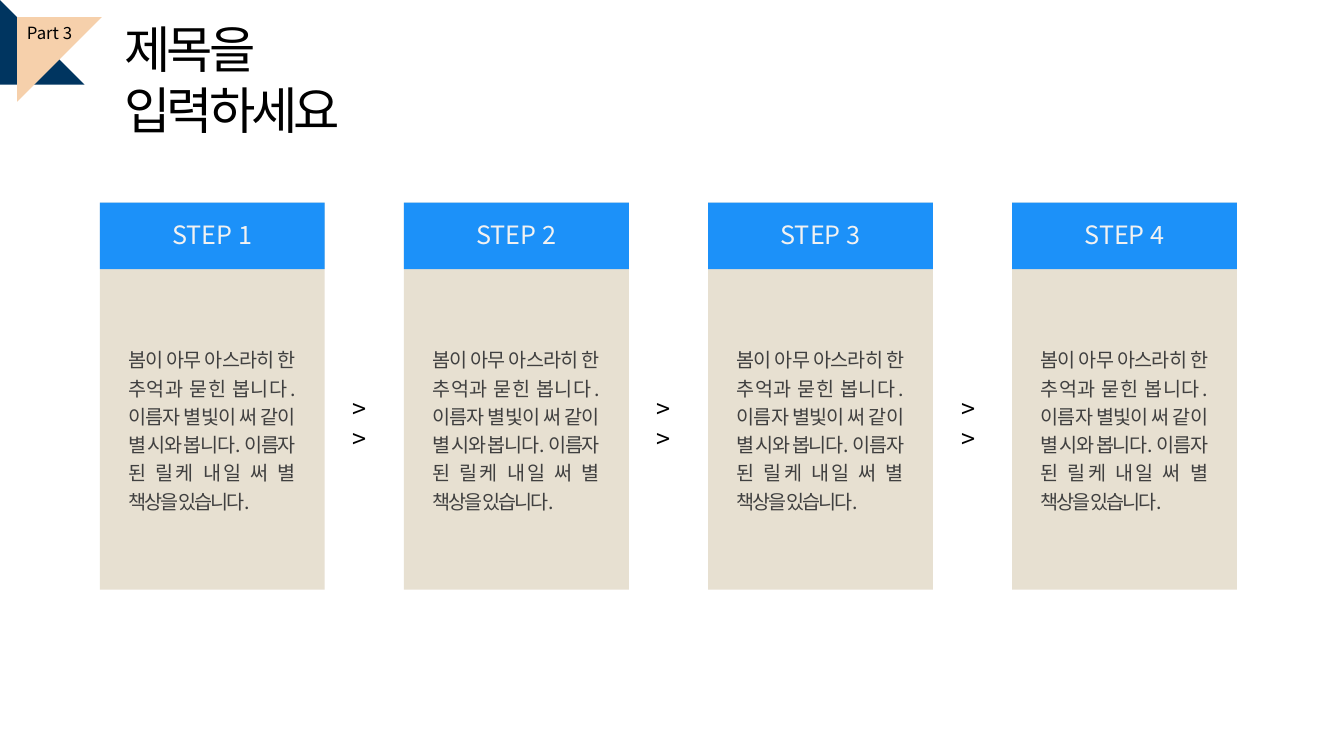
from lxml.etree import SubElement
from pptx import Presentation
from pptx.dml.color import RGBColor
from pptx.enum.shapes import MSO_SHAPE
from pptx.enum.text import PP_ALIGN
from pptx.oxml.ns import qn
from pptx.util import Pt

COLORS = {
    "navy": "003560", "peach": "F6D0AB", "beige": "E7E0D1", "blue": "1C91F9",
    "black": "000000", "pale": "F2F2F2", "gray": "404040",
}
FONT = "Noto Sans CJK KR"
BODY = ("봄이 아무 아스라히 한 추억과 묻힌 봅니다. 이름자 별빛이 써 같이 별 시와 봅니다. "
        "이름자 된 릴케 내일 써 별 책상을 있습니다.")

presentation = Presentation()
presentation.slide_width = Pt(960)
presentation.slide_height = Pt(540)
slide = presentation.slides.add_slide(presentation.slide_layouts[6])


def add_block(kind, left, top, width, height, color):
    shape = slide.shapes.add_shape(kind, Pt(left), Pt(top), Pt(width), Pt(height))
    shape.shadow.inherit = False
    shape.fill.solid()
    shape.fill.fore_color.rgb = RGBColor.from_string(COLORS[color])
    shape.line.fill.background()
    return shape


def add_text(text, left, top, width, height, size, color="black",
             align=PP_ALIGN.LEFT, wrap=True, tracking=0):
    """Add a one-paragraph text box; tracking is letter spacing in points."""
    box = slide.shapes.add_textbox(Pt(left), Pt(top), Pt(width), Pt(height))
    box.text_frame.word_wrap = wrap
    paragraph = box.text_frame.paragraphs[0]
    paragraph.text = text
    paragraph.alignment = align
    paragraph.font.size = Pt(size)
    paragraph.font.name = FONT
    paragraph.font.color.rgb = RGBColor.from_string(COLORS[color])
    properties = paragraph._p.get_or_add_pPr().find(qn("a:defRPr"))
    properties.set("spc", str(int(tracking * 100)))
    SubElement(properties, qn("a:ea")).set("typeface", FONT)
    return paragraph


# Corner ribbon and title
add_block(MSO_SHAPE.RIGHT_TRIANGLE, 0, 0, 60.5, 60.5, "navy")
ribbon = add_block(MSO_SHAPE.RIGHT_TRIANGLE, 12.2, 12.2, 60.5, 60.5, "peach")
ribbon.rotation = 90
add_text("Part 3", 12.2, 13, 46.8, 21.6, 12, wrap=False)
add_text("제목을 입력하세요", 82.1, 9.4, 247.7, 51.1, 36, tracking=-3)

# Step cards
STEPS = 4
FIRST_LEFT, PITCH, CARD_TOP = 71.4, 217.2, 144.7
CARD_WIDTH, CARD_HEIGHT, HEADER_HEIGHT = 160.6, 276.5, 47.5
LABEL_WIDTH, BODY_WIDTH = 74.2, 132.5

for index in range(STEPS):
    left = FIRST_LEFT + index * PITCH
    add_block(MSO_SHAPE.RECTANGLE, left, CARD_TOP, CARD_WIDTH, CARD_HEIGHT, "beige")
    add_block(MSO_SHAPE.RECTANGLE, left, CARD_TOP, CARD_WIDTH, HEADER_HEIGHT, "blue")
    add_text(f"STEP {index + 1}", left + (CARD_WIDTH - LABEL_WIDTH) / 2, 153.4,
             LABEL_WIDTH, 28.8, 18, "pale", PP_ALIGN.CENTER, wrap=False)
    body = add_text(BODY, left + 13.1, 241.9, BODY_WIDTH, 128.2, 14, "gray",
                    PP_ALIGN.JUSTIFY, tracking=-1.5)
    body.line_spacing = 1.2
    if index < STEPS - 1:
        add_text(">>", left + 173.6, 277.2, 31, 28.8, 18)

presentation.save("out.pptx")
